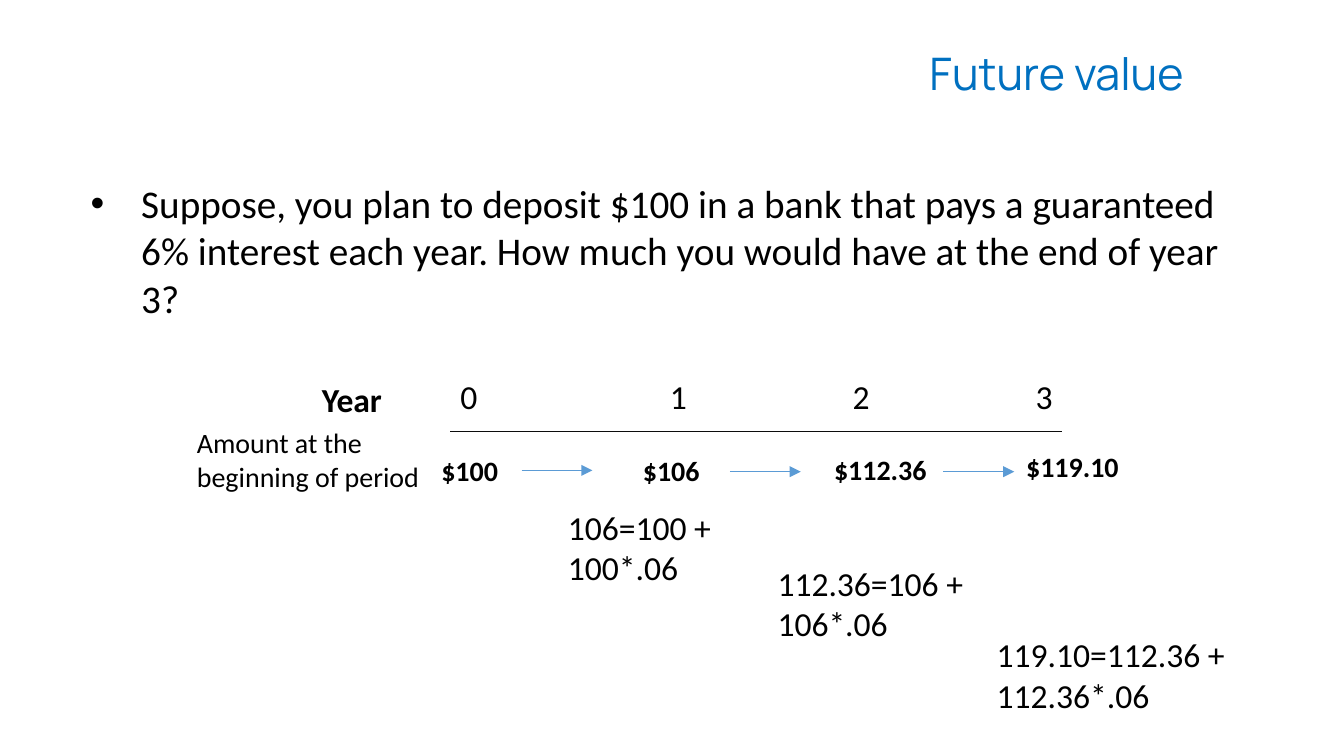
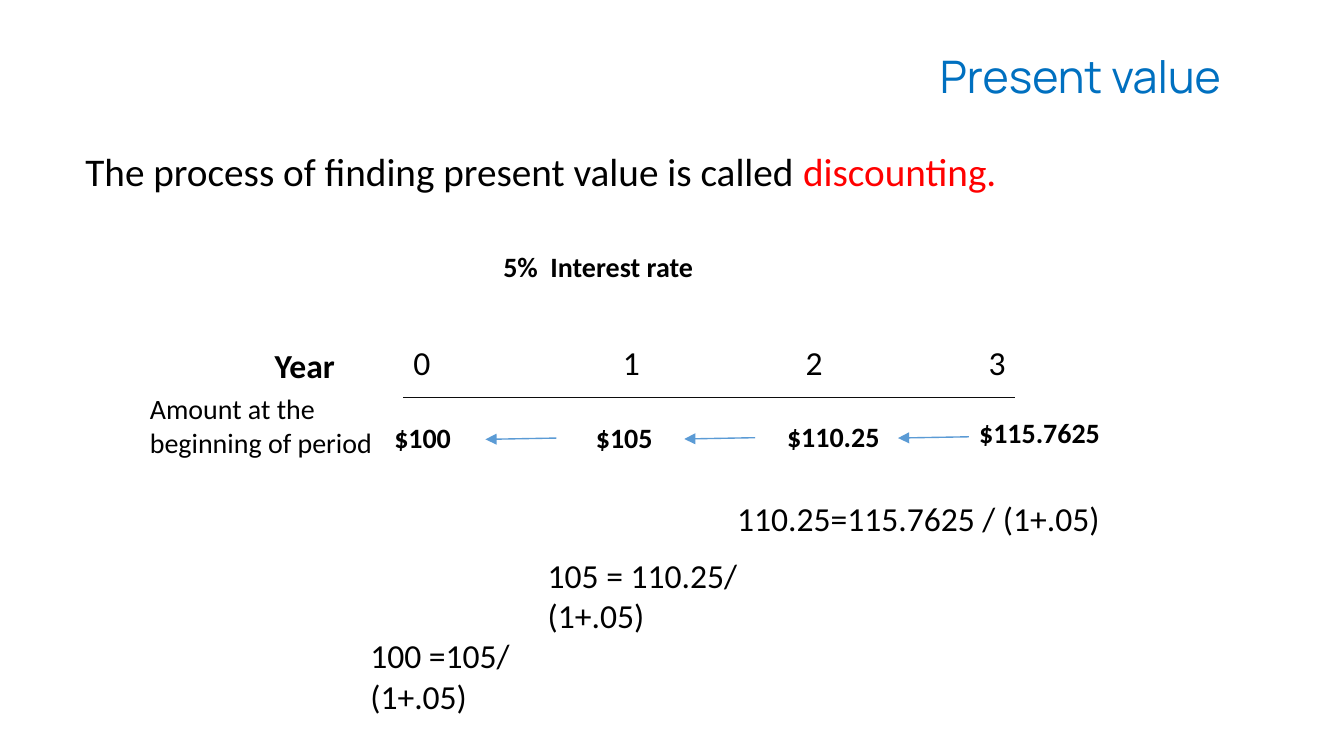
"""Build two slides on the future and present value of money."""
from lxml import etree
from pptx import Presentation
from pptx.dml.color import RGBColor
from pptx.enum import shapes, text
from pptx.oxml import ns
from pptx.util import Pt

BLUE = RGBColor(0x00, 0x70, 0xC0)
ARROW_BLUE = RGBColor(0x5B, 0x9B, 0xD5)
AXIS_GREY = RGBColor(0x0C, 0x0C, 0x0C)
BLACK = RGBColor(0x00, 0x00, 0x00)
RED = RGBColor(0xFF, 0x00, 0x00)
TITLE_FONT = "Manrope"
BODY_FONT = "Calibri"

YEAR_OFFSETS = (0, 112.3, 210.2, 308.2)
AMOUNT_OFFSETS = ((-10.2, 9.4), (97.8, 9.4), (200.2, 8.9), (303.1, 7))
ARROW_LENGTH = 38


def format_frame(frame):
    """Give a text frame the common insets, wrapping and top anchor."""
    frame.word_wrap = True
    frame.vertical_anchor = text.MSO_ANCHOR.TOP
    frame.margin_left = frame.margin_right = Pt(5.4)
    frame.margin_top = frame.margin_bottom = Pt(2.7)


def place(shape, left, top, width, height):
    """Move and size a shape, in points."""
    shape.left, shape.top = Pt(left), Pt(top)
    shape.width, shape.height = Pt(width), Pt(height)


def add_slide(presentation, title, left, top, width):
    """Add a slide with a right-aligned title and return it."""
    slide = presentation.slides.add_slide(presentation.slide_layouts[1])
    shape = slide.shapes.title
    place(shape, left, top, width, 51)
    format_frame(shape.text_frame)
    shape.text_frame.auto_size = text.MSO_AUTO_SIZE.NONE
    paragraph = shape.text_frame.paragraphs[0]
    paragraph.text = title
    paragraph.alignment = text.PP_ALIGN.RIGHT
    paragraph.line_spacing = 0.9
    paragraph.font.name = TITLE_FONT
    paragraph.font.size = Pt(24)
    paragraph.font.color.rgb = BLUE
    return slide


def fill_body(slide, runs, box, bulleted):
    """Fill the body placeholder with one paragraph of coloured runs."""
    shape = slide.placeholders[1]
    place(shape, *box)
    format_frame(shape.text_frame)
    shape.text_frame.auto_size = text.MSO_AUTO_SIZE.NONE
    paragraph = shape.text_frame.paragraphs[0]
    indent = Pt(27) if bulleted else 0
    properties = paragraph._p.get_or_add_pPr()
    properties.set("marL", str(indent))
    properties.set("indent", str(-indent))
    if not bulleted:
        etree.SubElement(properties, ns.qn("a:buNone"))
    paragraph.space_before = Pt(0)
    paragraph.font.name = BODY_FONT
    paragraph.font.size = Pt(21)
    for wording, colour in runs:
        run = paragraph.add_run()
        run.text = wording
        run.font.color.rgb = colour


def add_label(slide, wording, left, top, width, size=18, bold=False):
    """Add a text box with one paragraph per line of wording."""
    lines = wording.split("\n")
    height = len(lines) * size * 1.22 + 5.4
    shape = slide.shapes.add_textbox(Pt(left), Pt(top), Pt(width), Pt(height))
    frame = shape.text_frame
    format_frame(frame)
    frame.auto_size = text.MSO_AUTO_SIZE.SHAPE_TO_FIT_TEXT
    frame.text = wording
    for paragraph in frame.paragraphs:
        paragraph.font.name = BODY_FONT
        paragraph.font.size = Pt(size)
        paragraph.font.bold = bold
        paragraph.font.color.rgb = BLACK


def add_line(slide, start, end, colour, arrow=False):
    """Add a thin straight line, with an arrowhead at its end if wanted."""
    connector = slide.shapes.add_connector(
        shapes.MSO_CONNECTOR.STRAIGHT, *map(Pt, start + end))
    connector.line.color.rgb = colour
    connector.line.width = Pt(0.75)
    if arrow:
        outline = connector.line._get_or_add_ln()
        etree.SubElement(outline, ns.qn("a:tailEnd"), type="triangle")
    etree.SubElement(connector._element.spPr, ns.qn("a:effectLst"))


def add_timeline(slide, left, top, amounts):
    """Add the year axis, its headings and the amount for each year."""
    add_line(slide, (left, top), (left + 327.6, top), AXIS_GREY)
    add_label(slide, "Year", left - 74.2, top - 31, 103, bold=True)
    add_label(slide, "Amount at the\nbeginning of period",
              left - 141.1, top - 5.8, 208, size=15)
    for year, offset in enumerate(YEAR_OFFSETS):
        add_label(slide, str(year), left + offset, top - 32.4, 90)
    for amount, (across, down) in zip(amounts, AMOUNT_OFFSETS):
        add_label(slide, amount, left + across, top + down, 104, size=15, bold=True)


def add_arrows(slide, starts, run, drop=0):
    """Add an equal arrow from each start point."""
    for left, top in starts:
        add_line(slide, (left, top), (left + run, top + drop), ARROW_BLUE, arrow=True)


def build_future_value(presentation):
    """Build the slide on compounding forward."""
    slide = add_slide(presentation, "Future value", 150.5, 25.2, 489)
    question = ("Suppose, you plan to deposit $100 in a bank that pays a guaranteed "
                "6% interest each year. How much you would have at the end of year 3?")
    fill_body(slide, [(question, BLACK)], (43.2, 93.6, 635, 257), bulleted=True)
    add_timeline(slide, 241.2, 231.1, ("$100", "$106", "$112.36", "$119.10"))
    add_arrows(slide, ((279.4, 252), (391, 252.7), (505.4, 252.7)), ARROW_LENGTH)
    add_label(slide, "106=100 + 100*.06", 298.8, 268.6, 121)
    add_label(slide, "112.36=106 + 106*.06", 411.1, 298.8, 133.2)
    add_label(slide, "119.10=112.36 + 112.36*.06", 528.5, 337, 175.7)


def build_present_value(presentation):
    """Build the slide on discounting back."""
    slide = add_slide(presentation, "Present value", 298.1, 26.6, 361.4)
    fill_body(slide, [("The process of finding present value is called ", BLACK),
                      ("discounting.", RED)], (40.3, 76.3, 666, 40.3), bulleted=False)
    add_timeline(slide, 216, 213.1, ("$100", "$105", "$110.25", "$115.7625"))
    add_arrows(slide, ((519.1, 234), (404.6, 234.5), (298.1, 234.7)),
               -ARROW_LENGTH, drop=0.7)
    add_label(slide, "5%  Interest rate", 264.2, 131, 224.6, size=15, bold=True)
    add_label(slide, "110.25=115.7625 / (1+.05)", 389.5, 264.2, 225.4)
    add_label(slide, "105 = 110.25/ (1+.05)", 288, 294.5, 133.2)
    add_label(slide, "100 =105/ (1+.05)", 193, 337.7, 121)


def main():
    """Create the presentation and save it."""
    presentation = Presentation()
    presentation.slide_width, presentation.slide_height = Pt(720), Pt(405)
    build_future_value(presentation)
    build_present_value(presentation)
    presentation.save("out.pptx")


if __name__ == "__main__":
    main()
